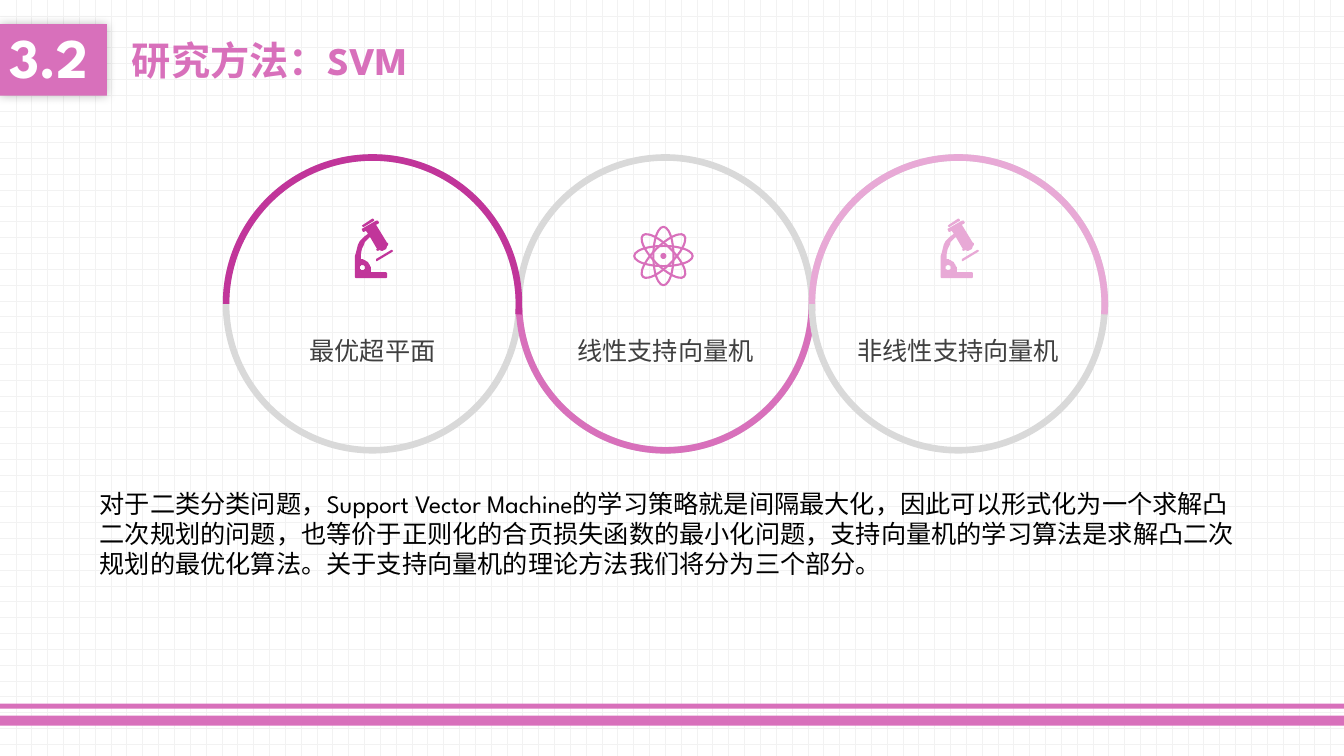
"""Build the research methods slide with three rings on support vector machines."""
from dataclasses import dataclass
from typing import Callable

from lxml import etree
from pptx import Presentation
from pptx.dml.color import RGBColor
from pptx.enum import dml, shapes, text
from pptx.oxml import ns
from pptx.util import Inches, Pt


@dataclass(frozen=True)
class Theme:
    pink: str = "D870BB"
    magenta: str = "C1359A"
    blush: str = "E8A9D6"
    track: str = "D9D9D9"
    grid: str = "F2F2F2"
    white: str = "FFFFFF"
    black: str = "000000"
    label: str = "404040"
    latin: str = "League Spartan"
    chinese: str = "Noto Sans CJK SC"
    number_size: int = 40
    title_size: int = 28
    body_size: int = 18


@dataclass(frozen=True)
class Box:
    left: float
    top: float
    width: float
    height: float

    def lengths(self) -> tuple:
        return tuple(Inches(side) for side in (self.left, self.top, self.width, self.height))


@dataclass(frozen=True)
class Style:
    size: int
    color: str
    font: str = Theme.latin
    bold: bool = False
    align: text.PP_ALIGN = text.PP_ALIGN.LEFT
    line_spacing: float = 1.0
    before: int = 0
    anchor: text.MSO_ANCHOR = text.MSO_ANCHOR.TOP


@dataclass(frozen=True)
class Ring:
    column: int
    caption: str
    color: str
    arc: tuple
    rotation: int
    icon: Callable

    @property
    def left(self) -> float:
        return RING_LEFT + self.column * RING_PITCH


THEME = Theme()
RING_LEFT, RING_TOP, RING_SIZE = 2.21, 1.53, 2.97
RING_PITCH = (8.02 - RING_LEFT) / 2
RING_BAND = 0.022
CURVE_STEPS = 8
EYEPIECE = [[(7, 7), (8, 8), (9, 8), (19, 2), (19, 1), (18, 0), (17, 0), (8, 6), (7, 7)]]
STAND = [
    [(0, 40), (0, 58), (1, 59), (31, 59), (32, 58), (32, 54), (31, 53), (16, 53),
     (16, 51, 16, 48, 14, 45), (11, 40, 6, 40, 6, 40), (6, 24, 14, 19, 15, 18),
     (22, 30), (21, 31), (23, 32), (24, 31), (27, 32), (31, 30), (32, 27), (33, 26),
     (33, 24), (32, 24), (21, 6), (23, 5), (24, 4), (23, 2), (21, 2), (7, 10), (7, 11),
     (8, 13), (9, 13), (11, 12), (13, 15), (0, 22, 0, 40, 0, 40)],
    [(7.5, 46), (9, 46, 10, 47, 10, 48.5), (10, 50, 9, 51, 7.5, 51),
     (6, 51, 5, 50, 5, 48.5), (5, 47, 6, 46, 7.5, 46)],
]
STAGE = [[(21, 42), (22, 42), (37, 33), (38, 32), (37, 31), (36, 31), (21, 40), (21, 42)]]
BODY = ("对于二类分类问题，Support Vector Machine的学习策略就是间隔最大化，因此可以形式化为一个求解"
        "凸二次规划的问题，也等价于正则化的合页损失函数的最小化问题，支持向量机的学习算法是求解凸"
        "二次规划的最优化算法。关于支持向量机的理论方法我们将分为三个部分。")


def paint(shape, color: str) -> None:
    """Give a shape a flat fill without line or shadow."""
    shape.shadow.inherit = False
    shape.fill.solid()
    shape.fill.fore_color.rgb = RGBColor.from_string(color)
    shape.line.fill.background()


def add_preset(canvas, kind, box: Box, color: str, adjustments: tuple = ()):
    """Add a flat preset shape."""
    shape = canvas.add_shape(kind, *box.lengths())
    paint(shape, color)
    for index, value in enumerate(adjustments):
        shape.adjustments[index] = value
    return shape


def write(shape, words: str, style: Style) -> None:
    """Put one styled paragraph into a shape."""
    frame = shape.text_frame
    frame.word_wrap = True
    frame.vertical_anchor = style.anchor
    frame.text = words
    para = frame.paragraphs[0]
    para.alignment = style.align
    para.line_spacing = style.line_spacing
    para.space_before = Pt(style.before)
    for span in para.runs:
        span.font.size = Pt(style.size)
        span.font.bold = style.bold
        span.font.name = style.font
        span.font.color.rgb = RGBColor.from_string(style.color)
        asian = etree.SubElement(span.font._element, ns.qn("a:ea"))
        asian.set("typeface", THEME.chinese)


def add_words(page, box: Box, words: str, style: Style) -> None:
    """Add a text box with one styled paragraph."""
    write(page.shapes.add_textbox(*box.lengths()), words, style)


def add_glow(shape, color: str, alpha: int, blur: int) -> None:
    """Add a soft shadow centred behind a shape."""
    effects = shape._element.spPr.find(ns.qn("a:effectLst"))
    shadow = etree.SubElement(effects, ns.qn("a:outerShdw"), blurRad=str(Pt(blur)), dist="0", dir="0")
    tint = etree.SubElement(shadow, ns.qn("a:srgbClr"), val=color)
    etree.SubElement(tint, ns.qn("a:alpha"), val=str(alpha * 1000))


def flatten(contour: list) -> list:
    """Turn corners and Bézier segments into a list of points."""
    points = [contour[0]]
    for segment in contour[1:]:
        if len(segment) == 2:
            points.append(segment)
            continue
        nodes = [points[-1], segment[:2], segment[2:4], segment[4:]]
        for step in range(1, CURVE_STEPS + 1):
            t = step / CURVE_STEPS
            weights = ((1 - t) ** 3, 3 * t * (1 - t) ** 2, 3 * t * t * (1 - t), t ** 3)
            points.append(tuple(sum(w * node[axis] for w, node in zip(weights, nodes)) for axis in (0, 1)))
    return points


def draw_microscope(page, ring: Ring) -> None:
    """Draw a microscope in the upper half of a ring."""
    group = page.shapes.add_group_shape()
    for part in (EYEPIECE, STAND, STAGE):
        outlines = [flatten(contour) for contour in part]
        builder = group.shapes.build_freeform(*outlines[0][0], scale=Inches(0.01))
        builder.add_line_segments(outlines[0][1:])
        for hole in outlines[1:]:
            builder.move_to(*hole[0])
            builder.add_line_segments(hole[1:])
        paint(builder.convert_to_shape(Inches(ring.left + 1.31), Inches(2.17)), ring.color)


def draw_atom(page, ring: Ring) -> None:
    """Draw an atom with four orbits in the upper half of a ring."""
    group = page.shapes.add_group_shape()
    middle, height = ring.left + 1.465, 2.54
    for turn in range(4):
        box = Box(middle - 0.29, height - 0.1, 0.58, 0.2)
        orbit = add_preset(group.shapes, shapes.MSO_SHAPE.OVAL, box, ring.color)
        orbit.fill.background()
        orbit.line.color.rgb = RGBColor.from_string(ring.color)
        orbit.line.width = Pt(1.5)
        orbit.rotation = turn * 45
    add_preset(group.shapes, shapes.MSO_SHAPE.OVAL, Box(middle - 0.03, height - 0.03, 0.06, 0.06), ring.color)


def draw_track(page, ring: Ring) -> None:
    """Draw the grey ring."""
    box = Box(ring.left, RING_TOP, RING_SIZE, RING_SIZE)
    add_preset(page.shapes, shapes.MSO_SHAPE.DONUT, box, THEME.track, (RING_BAND,))


def draw_content(page, ring: Ring) -> None:
    """Draw the coloured half, the icon and the caption of a ring."""
    box = Box(ring.left, RING_TOP, RING_SIZE, RING_SIZE)
    arc = add_preset(page.shapes, shapes.MSO_SHAPE.BLOCK_ARC, box, ring.color, ring.arc)
    arc.rotation = ring.rotation
    ring.icon(page, ring)
    style = Style(THEME.body_size, THEME.label, THEME.chinese, align=text.PP_ALIGN.CENTER, line_spacing=1.3)
    add_words(page, Box(ring.left + 0.29, 3.19, 2.39, 0.48), ring.caption, style)


def main() -> None:
    """Build and save the deck."""
    deck = Presentation()
    deck.slide_width, deck.slide_height = Inches(13.33), Inches(7.5)
    page = deck.slides.add_slide(deck.slide_layouts[6])
    backdrop = page.background.fill
    backdrop.patterned()
    backdrop.pattern = dml.MSO_PATTERN.DOTTED_GRID
    backdrop.fore_color.rgb = RGBColor.from_string(THEME.grid)
    backdrop.back_color.rgb = RGBColor.from_string(THEME.white)

    for top, height in ((7.1, 0.1), (6.98, 0.05)):
        add_preset(page.shapes, shapes.MSO_SHAPE.RECTANGLE, Box(0, top, 13.33, height), THEME.pink)
    badge = add_preset(page.shapes, shapes.MSO_SHAPE.RECTANGLE, Box(0, 0.24, 1.06, 0.71), THEME.pink)
    add_glow(badge, THEME.black, 25, 7)
    middle = text.MSO_ANCHOR.MIDDLE
    write(badge, "3.2", Style(THEME.number_size, THEME.white, bold=True, line_spacing=0.9, before=10, anchor=middle))
    title = Style(THEME.title_size, THEME.pink, bold=True, before=10, anchor=middle)
    add_words(page, Box(1.21, 0.24, 7.04, 0.71), "研究方法：SVM", title)
    add_words(page, Box(0.89, 4.79, 11.45, 1.01), BODY, Style(THEME.body_size, THEME.black))

    upper, lower = (108, 2.465, RING_BAND), (108, 215.074, RING_BAND)
    left = Ring(0, "最优超平面", THEME.magenta, upper, 0, draw_microscope)
    centre = Ring(1, "线性支持向量机", THEME.pink, lower, 180, draw_atom)
    right = Ring(2, "非线性支持向量机", THEME.blush, upper, 0, draw_microscope)
    for ring in (left, centre):
        draw_track(page, ring)
    for ring in (centre, left):
        draw_content(page, ring)
    draw_track(page, right)
    draw_content(page, right)
    deck.save("out.pptx")


if __name__ == "__main__":
    main()
